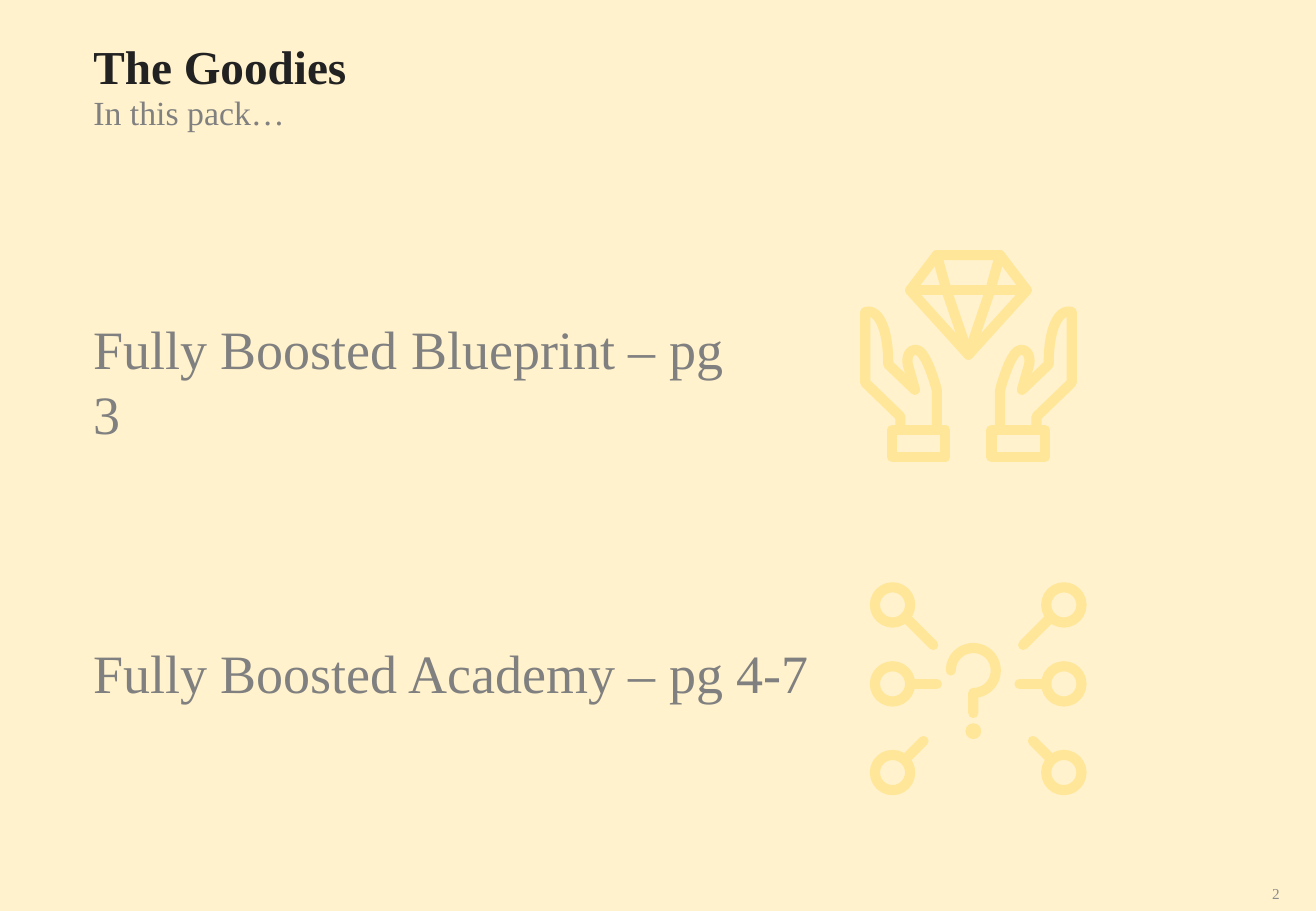
from math import cos, pi, sin

from lxml.etree import SubElement
from pptx import Presentation
from pptx.dml.color import RGBColor
from pptx.enum.shapes import MSO_CONNECTOR, MSO_SHAPE
from pptx.enum.text import MSO_ANCHOR, MSO_AUTO_SIZE, PP_ALIGN
from pptx.oxml.ns import qn
from pptx.util import Pt

PX = 9144  # one px is a hundredth of an inch
WIDTH, HEIGHT = 1083, 750
THEME = {
    "font": "Times New Roman",
    "background": RGBColor.from_string("FFF2CC"),
    "icon": RGBColor.from_string("FFE699"),
    "title": (28, RGBColor.from_string("222222")),
    "subtitle": (20, RGBColor.from_string("808080")),
    "item": (32, RGBColor.from_string("808080")),
    "number": (9, RGBColor.from_string("8C8C8C")),
    "stroke": Pt(6),
}


def bezier(start, control_1, control_2, end, steps=12):
    """Points along a cubic curve, without its start."""
    curve = []
    for step in range(1, steps + 1):
        t = step / steps
        weights = ((1 - t) ** 3, 3 * t * (1 - t) ** 2, 3 * t * t * (1 - t), t ** 3)
        corners = (start, control_1, control_2, end)
        curve.append(tuple(sum(w * c[axis] for w, c in zip(weights, corners))
                           for axis in (0, 1)))
    return curve


presentation = Presentation()
presentation.slide_width = WIDTH * PX
presentation.slide_height = HEIGHT * PX
slide = presentation.slides.add_slide(presentation.slide_layouts[6])
shapes = slide.shapes

# Background
background = shapes.add_shape(MSO_SHAPE.RECTANGLE, 0, 0, WIDTH * PX, HEIGHT * PX)
background.shadow.inherit = False
background.fill.solid()
background.fill.fore_color.rgb = THEME["background"]
background.line.fill.background()

# Texts
texts = [
    ("The Goodies", "title", (67, 26, 806, 57)),
    ("In this pack…", "subtitle", (67, 71, 778, 44)),
    ("Fully Boosted Blueprint – pg 3", "item", (67, 255, 554, 64)),
    ("Fully Boosted Academy – pg 4-7", "item", (67, 522, 616, 64)),
    ("2", "number", (1022, 713, 41, 45)),
]
for text, style, box in texts:
    text_frame = shapes.add_textbox(*(length * PX for length in box)).text_frame
    text_frame.word_wrap = True
    text_frame.text = text
    paragraph = text_frame.paragraphs[0]
    font = paragraph.runs[0].font
    size, font.color.rgb = THEME[style]
    font.size = Pt(size)
    font.name = THEME["font"]
    font.bold = style == "title"
    if style == "number":
        text_frame.vertical_anchor = MSO_ANCHOR.MIDDLE
        paragraph.alignment = PP_ALIGN.RIGHT
    else:
        text_frame.auto_size = MSO_AUTO_SIZE.SHAPE_TO_FIT_TEXT

strokes = []  # (points, closed)
segments = []  # (start, end)

# Diamond held by two hands; the left half mirrors the right
GEM_AXIS = 797
strokes.append(([(749, 239), (771, 210), (823, 210), (845, 239), (797, 292)], True))
segments.append(((749, 239), (845, 239)))
facet = [(823, 210), (815, 239), (797, 292)]
cuff = [(816, 354), (860, 354), (860, 376), (816, 376)]
hand = [(853, 354), (853, 343), (882, 315), (882, 257)]
hand += bezier((882, 257), (874, 254), (863, 264), (863, 300))
hand += [(841, 321), (847, 300)]
hand += bezier((847, 300), (849, 288), (839, 284), (834, 293))
hand += bezier((834, 293), (829, 300), (823, 320), (823, 322))
hand += [(823, 354)]
for points, closed in ((facet, False), (cuff, True), (hand, False)):
    strokes.append((points, closed))
    strokes.append(([(2 * GEM_AXIS - x, y) for x, y in points], closed))

# Question mark
MARK_X, MARK_Y, MARK_RADIUS = 801, 552, 18.5
arc = [(MARK_X + MARK_RADIUS * cos(pi + step * pi / 24),
        MARK_Y + MARK_RADIUS * sin(pi + step * pi / 24)) for step in range(37)]
strokes.append((arc + [(MARK_X, 587)], False))
dot = shapes.add_shape(MSO_SHAPE.OVAL, 795 * PX, 596 * PX, 12 * PX, 12 * PX)
dot.shadow.inherit = False
dot.fill.solid()
dot.fill.fore_color.rgb = THEME["icon"]
dot.line.color.rgb = THEME["icon"]
dot.line.width = Pt(0.75)

# Six rings, each with a spoke towards the question mark
RING_AXIS, RING_OFFSET, RING_SIZE = 805, 70.5, 29
rings = [
    (498, (60, 508), (37, 531)),
    (563, (56, 563), (34, 563)),
    (636, (60, 625), (45, 610)),
]
outlines = []
for side in (-1, 1):
    for center_y, (outer, outer_y), (inner, inner_y) in rings:
        left = RING_AXIS + side * RING_OFFSET - RING_SIZE / 2
        top = center_y - RING_SIZE / 2
        outlines.append(shapes.add_shape(
            MSO_SHAPE.OVAL, int(left * PX), int(top * PX), RING_SIZE * PX, RING_SIZE * PX))
        segments.append(((RING_AXIS + side * outer, outer_y),
                         (RING_AXIS + side * inner, inner_y)))

# Draw the strokes and segments
for points, closed in strokes:
    scaled = [(x * PX, y * PX) for x, y in points]
    builder = shapes.build_freeform(*scaled[0])
    builder.add_line_segments(scaled[1:], close=closed)
    outlines.append(builder.convert_to_shape())
for shape in outlines:
    shape.shadow.inherit = False
    shape.fill.background()
for start, end in segments:
    connector = shapes.add_connector(
        MSO_CONNECTOR.STRAIGHT, *(length * PX for length in start + end))
    outlines.append(connector)

# Rounded icon lines
for shape in outlines:
    shape.line.color.rgb = THEME["icon"]
    shape.line.width = THEME["stroke"]
    properties = shape.element.spPr
    line = properties.find(qn("a:ln"))
    line.set("cap", "rnd")
    SubElement(line, qn("a:round"))
    if properties.find(qn("a:effectLst")) is None:
        SubElement(properties, qn("a:effectLst"))

presentation.save("out.pptx")
